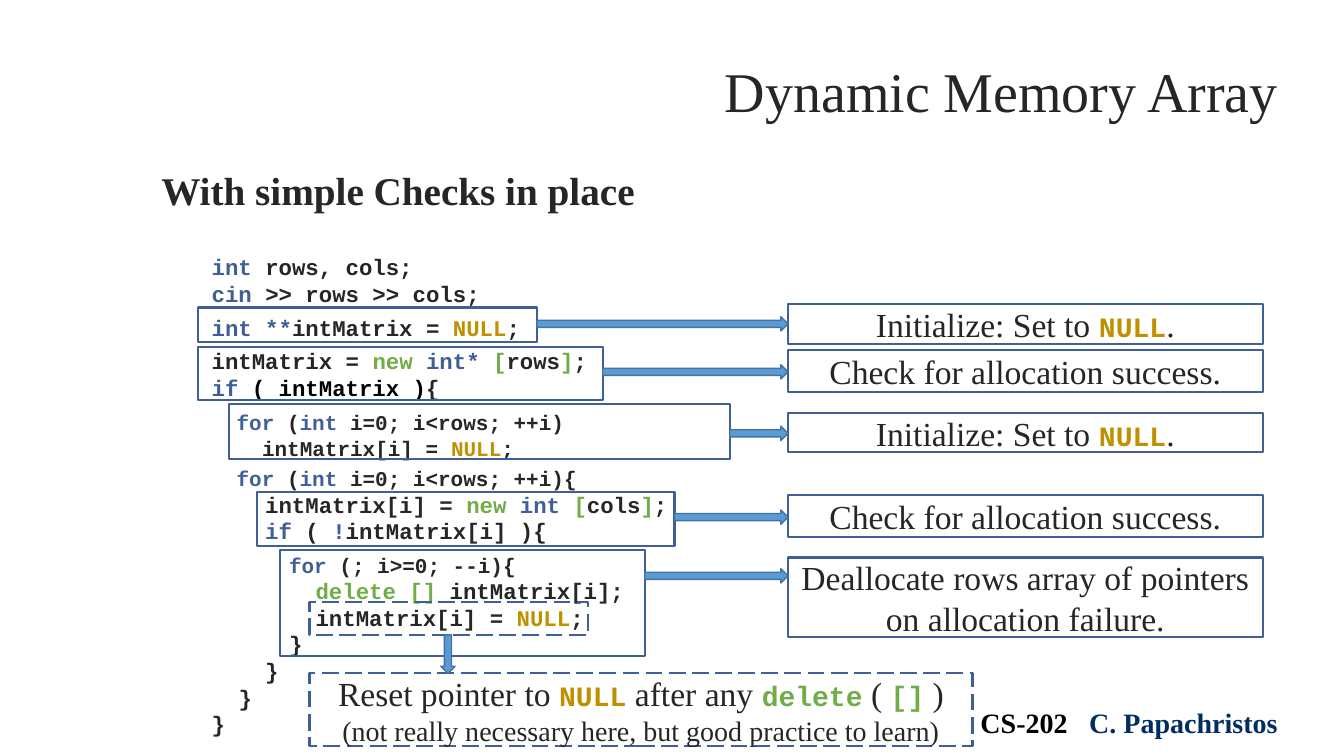
from dataclasses import dataclass
from typing import NamedTuple

from lxml.etree import SubElement
from pptx import Presentation
from pptx.dml.color import RGBColor
from pptx.enum.dml import MSO_LINE
from pptx.enum.shapes import MSO_SHAPE
from pptx.enum.text import MSO_ANCHOR, MSO_AUTO_SIZE, PP_ALIGN
from pptx.oxml.ns import qn
from pptx.util import Cm, Pt

COLORS = {
    "text": "262626", "black": "000000", "navy": "002E62", "keyword": "405F98",
    "null": "BF9000", "memory": "70AD47", "arrow": "5B9BD5", "arrow_edge": "43739E",
}
SERIF, MONO = "Times New Roman", "Courier New"
CALLOUT_LEFT, CALLOUT_WIDTH, ARROW_THICKNESS = 19.86, 11.96, 0.36


class Run(NamedTuple):
    text: str
    color: str = "text"
    code: bool = False


class Line(NamedTuple):
    runs: list[Run]
    size: float = 24
    indent: float = 0
    gap: float = 0


class Box(NamedTuple):
    left: float
    top: float
    width: float
    height: float

    @property
    def right(self) -> float:
        return self.left + self.width

    @property
    def bottom(self) -> float:
        return self.top + self.height


@dataclass
class Step:
    frame: Box
    arrow_top: float
    callout_top: float
    callout_height: float
    runs: list[Run]


def kw(text: str) -> Run:
    return Run(text, "keyword")


def mem(text: str) -> Run:
    return Run(text, "memory")


NULL = Run("NULL", "null")
NULL_CODE = Run("NULL", "null", True)
SET_NULL = [Run("Initialize: Set to "), NULL_CODE, Run(".")]
CHECK = [Run("Check for allocation success.")]
DEALLOCATE = [Run("Deallocate rows array of pointers on allocation failure.")]

CODE = [
    Line([kw("int "), Run("rows, cols;")], 16, 1.27, 29),
    Line([kw("cin "), Run(">> rows >> cols;")], 16, 1.27),
    Line([kw("int **"), Run("intMatrix = "), NULL, Run(";")], 16, 1.27, 5),
    Line([Run("intMatrix = "), mem("new "), kw("int* "), mem("["), Run("rows"),
          mem("]"), Run(";")], 16, 1.27, 5),
    Line([kw("if "), Run("( intMatrix )", "black"), Run("{")], 16, 1.27),
    Line([kw("for "), Run("("), kw("int "), Run("i=0; i<rows; ++i)")], 15, 1.9, 5),
    Line([Run("intMatrix[i] = "), NULL, Run(";")], 15, 2.54),
    Line([kw("for"), Run(" ("), kw("int "), Run("i=0; i<rows; ++i){")], 15, 1.9, 2.5),
    Line([Run("intMatrix[i] = "), mem("new "), kw("int "), mem("["), Run("cols"),
          mem("]"), Run(";")], 16, 2.62),
    Line([kw("if"), Run(" ( "), kw("!"), Run("intMatrix[i] ){")], 16, 2.62),
    Line([kw("for"), Run(" (; i>=0; --i){")], 15, 3.22, 5),
    Line([mem("delete [] "), Run("intMatrix[i];")], 16, 3.89),
    Line([Run("intMatrix[i] = "), NULL, Run(";")], 16, 3.89),
    *[Line([Run("}")], 16, indent) for indent in (3.22, 2.62, 1.95, 1.27)],
]
STEPS = [
    Step(Box(5, 7.75, 8.53, 0.86), 7.98, 7.67, 0.99, SET_NULL),
    Step(Box(5, 8.74, 10.19, 1.35), 9.19, 8.81, 1.07, CHECK),
    Step(Box(5.77, 10.19, 12.62, 1.37), 10.74, 10.41, 0.99, SET_NULL),
    Step(Box(6.48, 12.4, 10.52, 1.35), 12.85, 12.47, 1.07, CHECK),
    Step(Box(7.06, 13.87, 9.19, 2.67), 14.33, 14.05, 2.01, DEALLOCATE),
]
RESET = Box(7.8, 15.16, 7.01, 0.84)
RESET_NOTE = Box(7.8, 16.97, 16.71, 1.83)
RESET_LINES = [
    Line([Run("Reset pointer to "), NULL_CODE, Run(" after any "),
          Run("delete", "memory", True), Run(" ( "), Run("[]", "memory", True), Run(" )")]),
    Line([Run("(not really necessary here, but good practice to learn)")], 20),
]


def rgb(color: str) -> RGBColor:
    return RGBColor.from_string(COLORS[color])


def place(shape, box: Box) -> None:
    shape.left, shape.top, shape.width, shape.height = map(Cm, box)


def write(paragraph, line: Line, font: str = SERIF, bold: bool = False) -> None:
    paragraph.font.name, paragraph.font.size = font, Pt(line.size)
    paragraph.font.bold = bold
    paragraph.space_before, paragraph.space_after = Pt(line.gap), Pt(0)
    for part in line.runs:
        run = paragraph.add_run()
        run.text = part.text
        run.font.color.rgb = rgb(part.color)
        if part.code:
            run.font.name, run.font.size, run.font.bold = MONO, Pt(20), True


def unbullet(paragraph, indent: float) -> None:
    properties = paragraph._p.get_or_add_pPr()
    properties.set("marL", str(Cm(indent)))
    properties.set("indent", "0")
    properties.insert_element_before(
        properties.makeelement(qn("a:buNone")), "a:tabLst", "a:defRPr", "a:extLst")


def add_frame(slide, box: Box, lines: list[Line], dashed: bool = False) -> None:
    frame = slide.shapes.add_shape(MSO_SHAPE.RECTANGLE, *map(Cm, box))
    frame.shadow.inherit = False
    frame.fill.background()
    frame.line.color.rgb, frame.line.width = rgb("keyword"), Pt(1.5)
    if dashed:
        frame.line.dash_style = MSO_LINE.LONG_DASH
    text = frame.text_frame
    text.word_wrap, text.vertical_anchor = True, MSO_ANCHOR.MIDDLE
    text.margin_top = text.margin_bottom = 0
    for index, line in enumerate(lines):
        paragraph = text.add_paragraph() if index else text.paragraphs[0]
        paragraph.alignment = PP_ALIGN.CENTER
        write(paragraph, line)


def add_arrow(slide, kind: MSO_SHAPE, box: Box) -> None:
    arrow = slide.shapes.add_shape(kind, *map(Cm, box))
    arrow.shadow.inherit = False
    arrow.fill.solid()
    arrow.fill.fore_color.rgb = rgb("arrow")
    arrow.line.color.rgb, arrow.line.width = rgb("arrow_edge"), Pt(1)


def add_title(slide) -> None:
    title = slide.shapes.title
    place(title, Box(2.69, 1.45, 29.77, 1.8))
    title.text_frame.vertical_anchor = MSO_ANCHOR.BOTTOM
    title.text_frame.auto_size = MSO_AUTO_SIZE.NONE
    heading = title.text_frame.paragraphs[0]
    heading.alignment = PP_ALIGN.RIGHT
    write(heading, Line([Run("Dynamic Memory Array")], 40))


def add_code(slide) -> None:
    body = slide.placeholders[1]
    place(body, Box(3.81, 4.01, 29.03, 13.31))
    text = body.text_frame
    text.auto_size, text.vertical_anchor = MSO_AUTO_SIZE.NONE, MSO_ANCHOR.TOP
    subtitle = text.paragraphs[0]
    write(subtitle, Line([Run("With simple Checks in place")], 28), bold=True)
    subtitle.line_spacing = Pt(35)
    unbullet(subtitle, 0)
    for line in CODE:
        paragraph = text.add_paragraph()
        write(paragraph, line, MONO, True)
        paragraph.line_spacing = Pt(19)
        unbullet(paragraph, line.indent)


def add_credit(slide) -> None:
    credit = slide.shapes.add_textbox(Cm(24.1), Cm(17.65), Cm(8.74), Cm(1.12))
    credit.text_frame.word_wrap = True
    credit.text_frame.margin_left = Cm(0.61)
    paragraph = credit.text_frame.paragraphs[0]
    write(paragraph, Line([Run("CS-202\t", "black"), Run("C. Papachristos", "navy")], 20),
          bold=True)
    properties = paragraph._p.get_or_add_pPr()
    tabs = properties.makeelement(qn("a:tabLst"))
    SubElement(tabs, qn("a:tab"), pos=str(Cm(2.74)), algn="l")
    properties.insert_element_before(tabs, "a:defRPr", "a:extLst")


def main() -> None:
    deck = Presentation()
    deck.slide_width, deck.slide_height = Cm(33.87), Cm(19.05)
    slide = deck.slides.add_slide(deck.slide_layouts[1])
    add_title(slide)
    add_credit(slide)
    add_code(slide)
    for step in STEPS:
        add_frame(slide, step.frame, [])
        add_frame(slide, Box(CALLOUT_LEFT, step.callout_top, CALLOUT_WIDTH,
                             step.callout_height), [Line(step.runs)])
        add_arrow(slide, MSO_SHAPE.RIGHT_ARROW, Box(
            step.frame.right, step.arrow_top, CALLOUT_LEFT - step.frame.right, ARROW_THICKNESS))
    add_frame(slide, RESET, [], dashed=True)
    add_frame(slide, RESET_NOTE, RESET_LINES, dashed=True)
    add_arrow(slide, MSO_SHAPE.DOWN_ARROW, Box(
        11.11, RESET.bottom, ARROW_THICKNESS, RESET_NOTE.top - RESET.bottom))
    deck.save("out.pptx")


if __name__ == "__main__":
    main()
